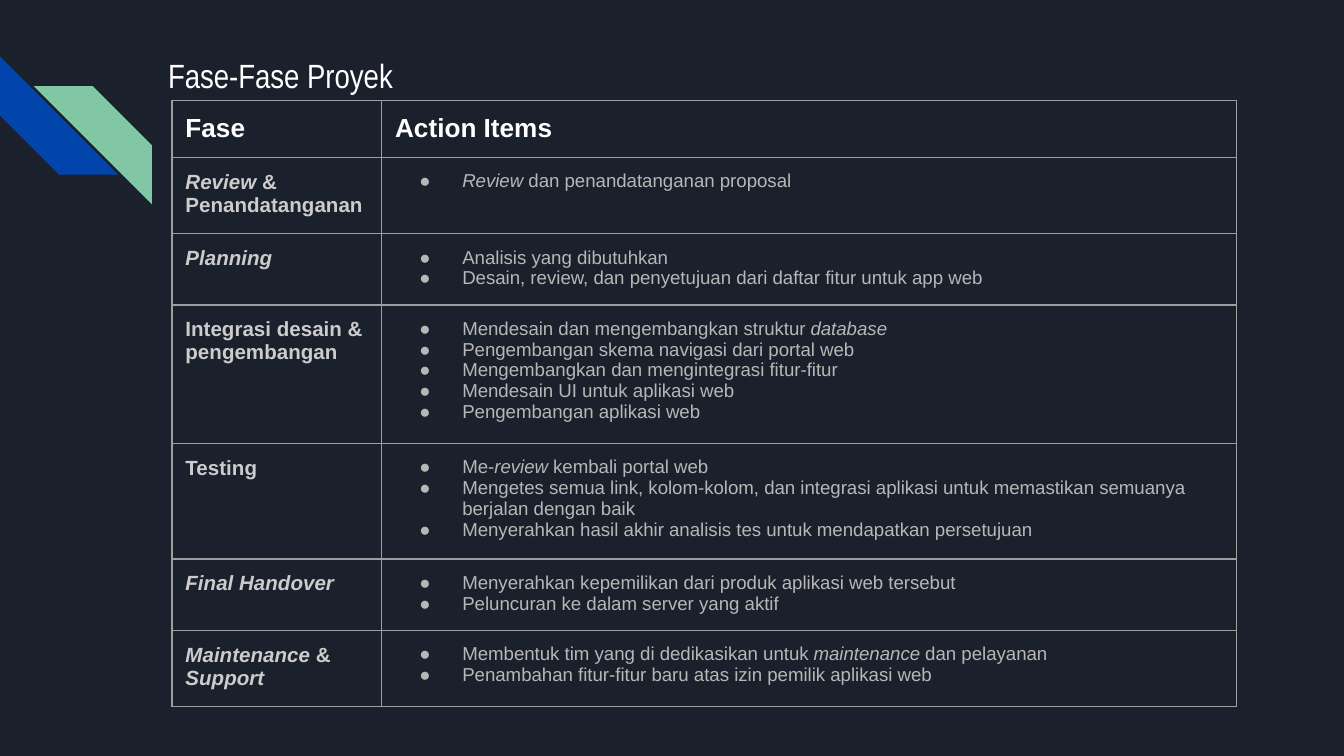
from lxml import etree
from pptx import Presentation
from pptx.dml.color import RGBColor
from pptx.enum.shapes import MSO_SHAPE
from pptx.enum.text import MSO_ANCHOR, MSO_AUTO_SIZE, PP_ALIGN
from pptx.oxml import parse_xml
from pptx.oxml.ns import qn
from pptx.util import Inches, Pt

STRIPE = MSO_SHAPE.DIAGONAL_STRIPE
TOP = MSO_ANCHOR.TOP
LEFT = PP_ALIGN.LEFT
FIXED = MSO_AUTO_SIZE.NONE

NIGHT = RGBColor(0x1B, 0x21, 0x2C)
BLUE = RGBColor(0x01, 0x45, 0xAC)
MINT = RGBColor(0x82, 0xC7, 0xA5)
WHITE = RGBColor(0xFF, 0xFF, 0xFF)
PALE = RGBColor(0xCC, 0xCC, 0xCC)
GRAY = RGBColor(0xB7, 0xB7, 0xB7)
RULE = RGBColor(0x9E, 0x9E, 0x9E)

WIDE = Inches(10)
HIGH = WIDE * 9 // 16

TITLE = "Fase-Fase Proyek"
HEADS = ["Fase", "Action Items"]
PHASES = [
    ("*Review *& Penandatanganan", 0.57, [
        "*Review* dan penandatanganan proposal"]),
    ("*Planning*", 0.53, [
        "Analisis yang dibutuhkan",
        "Desain, review, dan penyetujuan dari daftar fitur untuk app web"]),
    ("Integrasi desain & pengembangan", 1.03, [
        "Mendesain dan mengembangkan struktur *database*",
        "Pengembangan skema navigasi dari portal web",
        "Mengembangkan dan mengintegrasi fitur-fitur",
        "Mendesain UI untuk aplikasi web",
        "Pengembangan aplikasi web"]),
    ("Testing", 0.86, [
        "Me-*review *kembali portal web",
        "Mengetes semua link, kolom-kolom, dan integrasi aplikasi untuk "
        "memastikan semuanya berjalan dengan baik",
        "Menyerahkan hasil akhir analisis tes untuk mendapatkan persetujuan"]),
    ("*Final Handover*", 0.53, [
        "Menyerahkan kepemilikan dari produk aplikasi web tersebut",
        "Peluncuran ke dalam server yang aktif"]),
    ("*Maintenance *&* Support*", 0.57, [
        "Membentuk tim yang di dedikasikan untuk *maintenance* dan pelayanan",
        "Penambahan fitur-fitur baru atas izin pemilik aplikasi web"]),
]
COLS = [1.56, 6.36]
HEAD_H = 0.42
STRIPES = [(0, 0.42, BLUE, 270, False), (0.25, 0.64, MINT, 0, True)]

NAME = {"name": "Arial Narrow", "size": Pt(18), "bold": False}
HEAD = {"name": "Arial", "size": Pt(14), "bold": True}
PHASE = {"name": "Arial", "size": Pt(11), "bold": True}
ITEM = {"name": "Arial", "size": Pt(10), "bold": False}
PAD = dict.fromkeys(
    ["margin_left", "margin_top", "margin_right", "margin_bottom"], Inches(0.1))


def apply(thing, form):
    for key, val in form.items():
        setattr(thing, key, val)


def write(para, text, form, color):
    for num, part in enumerate(text.split("*")):
        if part:
            run = para.add_run()
            run.text = part
            apply(run.font, form)
            run.font.italic = num % 2 == 1
            run.font.color.rgb = color


def bullet(para):
    props = para._p.get_or_add_pPr()
    props.set("marL", str(Inches(0.5)))
    props.set("indent", str(Inches(-0.32)))
    tint = etree.SubElement(props, qn("a:buClr"))
    etree.SubElement(tint, qn("a:srgbClr")).set("val", str(GRAY))
    for tag, key, val in [("a:buSzPts", "val", "1000"),
                          ("a:buFont", "typeface", "Arial"),
                          ("a:buChar", "char", "●")]:
        etree.SubElement(props, qn(tag)).set(key, val)


def border(cell):
    props = cell._tc.get_or_add_tcPr()
    for side in "LRTB":
        props.append(parse_xml(
            f'<a:ln{side} xmlns:a="http://schemas.openxmlformats.org/drawingml/2006/main" '
            f'w="{Pt(0.75)}"><a:solidFill><a:srgbClr val="{RULE}"/>'
            f'</a:solidFill></a:ln{side}>'))


def fill(cell, lines, form, color, dots=False):
    apply(cell, PAD)
    border(cell)
    cell.fill.background()
    frame = cell.text_frame
    for num, line in enumerate(lines):
        para = frame.add_paragraph() if num else frame.paragraphs[0]
        if dots:
            bullet(para)
        write(para, line, form, color)


def main():
    deck = Presentation()
    deck.slide_width, deck.slide_height = WIDE, HIGH
    slide = deck.slides.add_slide(deck.slide_layouts[5])
    slide.background.fill.solid()
    slide.background.fill.fore_color.rgb = NIGHT

    for left, top, color, turn, flip in STRIPES:
        band = slide.shapes.add_shape(
            STRIPE, Inches(left), Inches(top), Inches(0.88), Inches(0.88))
        band.shadow.inherit = False
        band.fill.solid()
        band.fill.fore_color.rgb = color
        band.line.fill.background()
        band.rotation = turn
        if flip:
            band._element.spPr.xfrm.set("flipH", "1")

    title = slide.shapes.title
    apply(title, {"left": Inches(1.15), "top": Inches(0.31),
                  "width": Inches(7.7), "height": Inches(0.6)})
    frame = title.text_frame
    apply(frame, {**PAD, "vertical_anchor": TOP, "auto_size": FIXED,
                  "word_wrap": True})
    frame.paragraphs[0].alignment = LEFT
    write(frame.paragraphs[0], TITLE, NAME, WHITE)

    rows = [HEAD_H] + [high for _, high, _ in PHASES]
    table = slide.shapes.add_table(
        len(rows), len(COLS), Inches(1.28), Inches(0.75),
        Inches(sum(COLS)), Inches(sum(rows))).table
    apply(table, {"first_row": False, "horz_banding": False})
    for col, wide in zip(table.columns, COLS):
        col.width = Inches(wide)
    for row, high in zip(table.rows, rows):
        row.height = Inches(high)
    for num, head in enumerate(HEADS):
        fill(table.cell(0, num), [head], HEAD, WHITE)
    for num, (phase, _, items) in enumerate(PHASES, 1):
        fill(table.cell(num, 0), [phase], PHASE, PALE)
        fill(table.cell(num, 1), items, ITEM, GRAY, True)

    deck.save("out.pptx")


if __name__ == "__main__":
    main()
